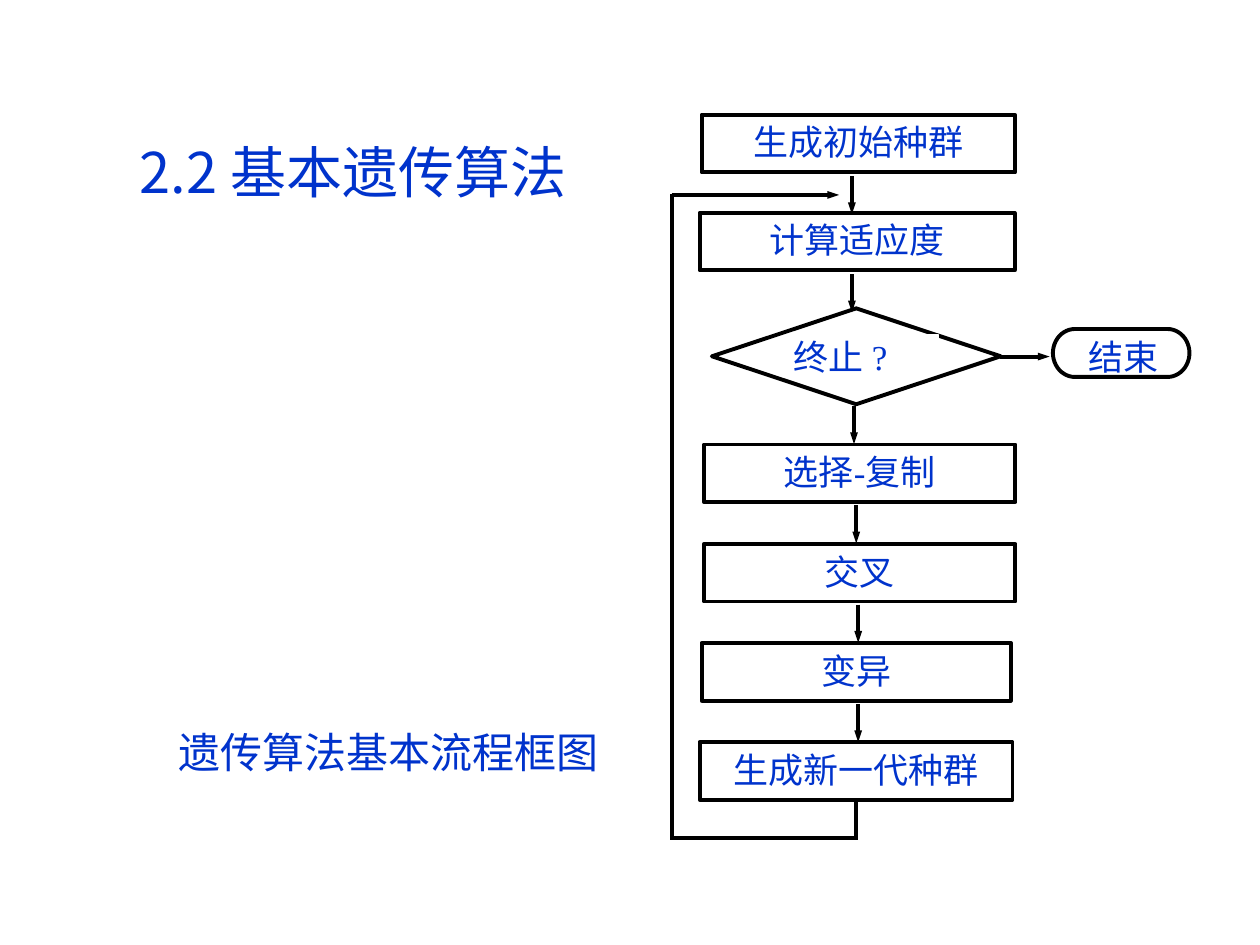
import dataclasses

import lxml.etree
import pptx
import pptx.dml.color
import pptx.enum.shapes
import pptx.enum.text
import pptx.oxml.ns
import pptx.util

Pt = pptx.util.Pt
Kind = pptx.enum.shapes.MSO_SHAPE
Align = pptx.enum.text.PP_ALIGN


@dataclasses.dataclass(frozen=True)
class Theme:
    blue: str = "0033CC"
    black: str = "000000"
    white: str = "FFFFFF"
    serif: str = "Times New Roman"
    sans: str = "Noto Sans CJK SC"
    head: int = 32
    note: int = 24
    body: int = 20
    thick: float = 2.25
    thin: float = 0.75


class Chart:
    """Draws styled flowchart parts on one slide, with lengths in points."""

    def __init__(self, slide, theme):
        self.slide = slide
        self.theme = theme

    def color(self, code):
        return pptx.dml.color.RGBColor.from_string(code)

    def words(self, shape, text, size, font, align, pad=(7.2, 3.6)):
        frame = shape.text_frame
        frame.word_wrap = True
        frame.auto_size = pptx.enum.text.MSO_AUTO_SIZE.NONE
        frame.vertical_anchor = pptx.enum.text.MSO_ANCHOR.TOP
        frame.margin_left = frame.margin_right = Pt(pad[0])
        frame.margin_top = frame.margin_bottom = Pt(pad[1])
        line = frame.paragraphs[0]
        line.alignment = align
        run = line.add_run()
        run.text = text
        run.font.size = Pt(size)
        run.font.name = font
        run.font.color.rgb = self.color(self.theme.blue)

    def title(self, text, *spot):
        shape = self.slide.shapes.title
        shape.left, shape.top, shape.width, shape.height = map(Pt, spot)
        self.words(shape, text, self.theme.head, self.theme.sans, Align.LEFT)

    def shape(self, kind, *spot, edge=None, width=None):
        shape = self.slide.shapes.add_shape(kind, *map(Pt, spot))
        shape.shadow.inherit = False
        shape.fill.solid()
        shape.fill.fore_color.rgb = self.color(self.theme.white)
        shape.line.color.rgb = self.color(edge or self.theme.black)
        shape.line.width = Pt(width or self.theme.thick)
        return shape

    def step(self, text, *spot):
        box = self.shape(Kind.RECTANGLE, *spot)
        self.words(box, text, self.theme.body, self.theme.serif, Align.CENTER)

    def plain(self, *spot):
        return self.shape(Kind.RECTANGLE, *spot, edge=self.theme.white, width=self.theme.thin)

    def label(self, text, align, *spot):
        box = self.plain(*spot)
        self.words(box, text, self.theme.body, self.theme.serif, align, (0, 0))

    def note(self, text, *spot):
        box = self.plain(*spot)
        self.words(box, text, self.theme.note, self.theme.serif, Align.JUSTIFY)
        box.text_frame.margin_left = Pt(14.2)

    def line(self, *ends, arrow=False):
        link = self.slide.shapes.add_connector(
            pptx.enum.shapes.MSO_CONNECTOR.STRAIGHT, *map(Pt, ends))
        link.line.color.rgb = self.color(self.theme.black)
        link.line.width = Pt(self.theme.thick)
        qn = pptx.oxml.ns.qn
        props = link.element.spPr
        if arrow:
            lxml.etree.SubElement(props.find(qn("a:ln")), qn("a:tailEnd"),
                                  type="triangle", w="sm", len="med")
        lxml.etree.SubElement(props, qn("a:effectLst"))


def main():
    deck = pptx.Presentation()
    deck.slide_width, deck.slide_height = Pt(720), Pt(540)
    chart = Chart(deck.slides.add_slide(deck.slide_layouts[5]), Theme())

    chart.title("2.2 基本遗传算法", 72.7, 74.9, 307.4, 46)
    chart.note("遗传算法基本流程框图", 87.8, 411.8, 272.2, 32.4)
    chart.line(571.7, 203.8, 599.8, 203.8, arrow=True)

    steps = [
        ("生成初始种群", 401, 65.6, 179),
        ("计算适应度", 399.8, 121.6, 180),
        ("选择-复制", 402.3, 254, 178),
        ("交叉", 402.3, 310.8, 178),
        ("变异", 401, 367.4, 176.7),
        ("生成新一代种群", 399.8, 424, 178.8),
    ]
    for text, left, top, width in steps:
        chart.step(text, left, top, width, 33)

    chart.shape(Kind.FLOWCHART_DECISION, 406.8, 176.2, 165, 54.8)
    chart.label("终止 ?", Align.JUSTIFY, 453.6, 191.5, 82.8, 21.6)

    drops = [(486.8, 100.6), (486.8, 156.7), (488, 232),
             (489.3, 288.7), (490.4, 345.5), (490.4, 402.3)]
    for x, y in drops:
        chart.line(x, y, x, y + 21.8, arrow=True)

    chart.line(489.3, 458.2, 489.3, 480)
    chart.line(489.3, 479, 382.6, 479)
    chart.line(383.8, 478.4, 383.8, 110.8)
    chart.line(383.8, 111.4, 479.5, 111.4, arrow=True)

    chart.shape(Kind.FLOWCHART_TERMINATOR, 601.7, 188, 78, 27.4)
    chart.label("结束", Align.CENTER, 621.4, 191.5, 41, 21.6)
    deck.save("out.pptx")


if __name__ == "__main__":
    main()
